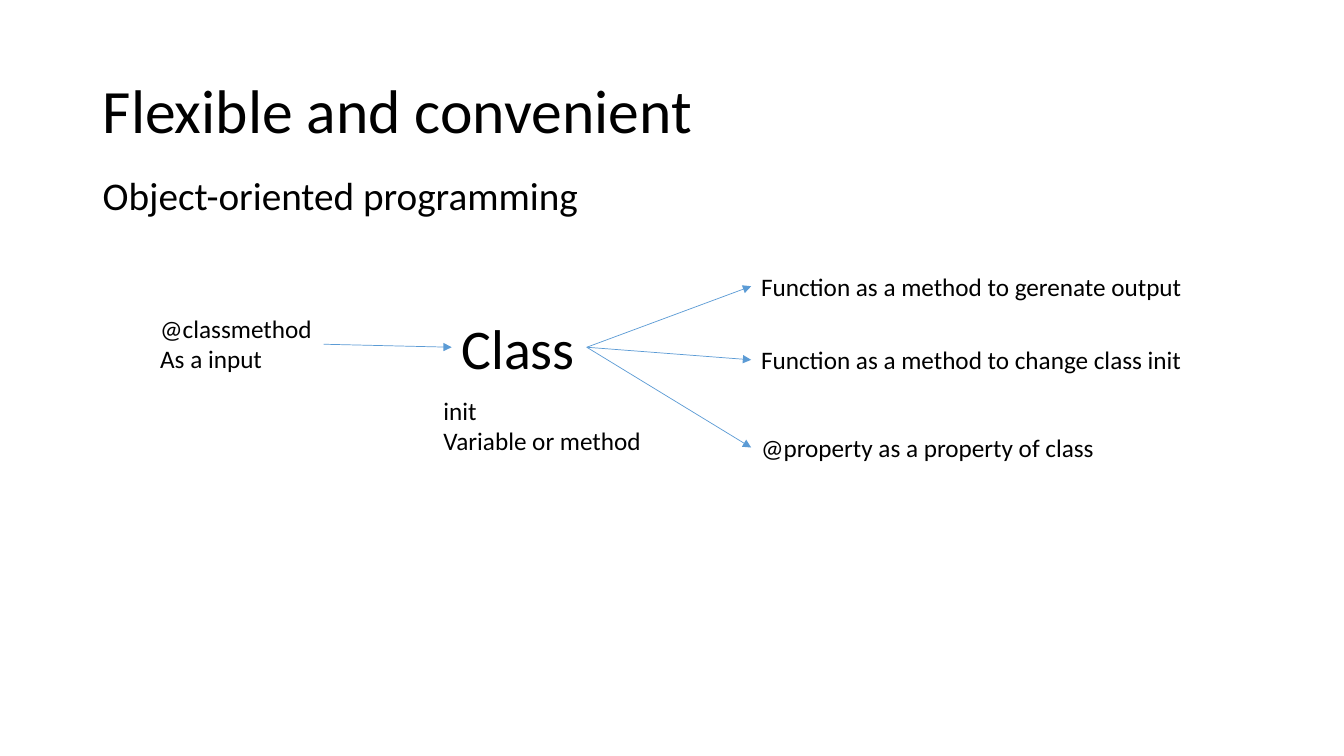
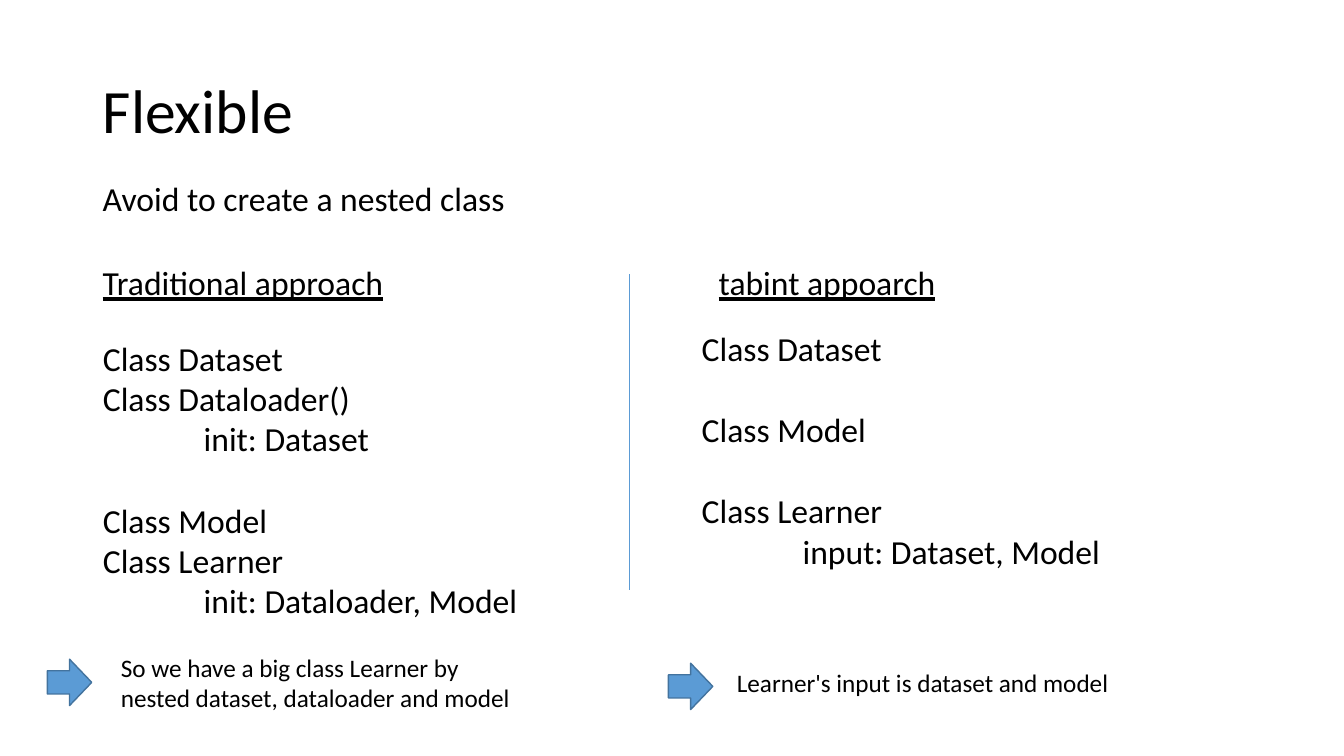
from dataclasses import dataclass

from lxml import etree
from pptx import Presentation
from pptx.dml.color import RGBColor
from pptx.enum.shapes import MSO_CONNECTOR, MSO_SHAPE
from pptx.enum.text import MSO_ANCHOR, MSO_AUTO_SIZE, PP_ALIGN
from pptx.oxml.ns import qn
from pptx.shapes.autoshape import Shape
from pptx.shapes.connector import Connector
from pptx.slide import Slide
from pptx.util import Inches, Pt

STRAIGHT = MSO_CONNECTOR.STRAIGHT
RIGHT_ARROW = MSO_SHAPE.RIGHT_ARROW
TOP, MIDDLE = MSO_ANCHOR.TOP, MSO_ANCHOR.MIDDLE
FIT_SHAPE, NO_FIT = MSO_AUTO_SIZE.SHAPE_TO_FIT_TEXT, MSO_AUTO_SIZE.NONE
LEFT = PP_ALIGN.LEFT
LEFT_SIDE, RIGHT_SIDE = 1, 3
TWO_CONTENT, TITLE_ONLY = 3, 5

FONT = "Calibri"
BLACK, BLUE, DARK_BLUE = "000000", "5B9BD5", "43739E"
MARGIN = 0.92
CODE_GAP = 29.3  # one line of 24 pt text


@dataclass(frozen=True)
class Line:
    text: str
    indent: float = 0
    gap: float = 0


@dataclass(frozen=True)
class Label:
    left: float
    top: float
    width: float
    height: float
    lines: tuple[str, ...]
    size: int = 18
    underline: bool = False


@dataclass(frozen=True)
class CodeColumn:
    left: float
    top: float
    width: float
    height: float
    lines: tuple[Line, ...]


# Slide 1: the class, its input and its outputs
SUBTITLE = Label(MARGIN, 1.65, 4.98, 0.57, ("Object-oriented programming",), 28)
CLASS = Label(4.48, 3.06, 1.34, 0.77, ("Class",), 40)
CLASS_INPUT = Label(1.49, 3.06, 1.72, 0.71, ("@classmethod", "As a input"))
CLASS_CONTENT = Label(4.3, 3.87, 2.18, 0.71, ("init", "Variable or method"))
OUTPUTS = (
    Label(7.45, 2.64, 4.43, 0.4, ("Function as a method to gerenate output",)),
    Label(7.45, 3.37, 4.48, 0.4, ("Function as a method to change class init",)),
    Label(7.45, 4.24, 3.54, 0.4, ("@property as a property of class",)),
)

# Slide 2: two approaches side by side
HEADINGS = (
    Label(MARGIN, 1.72, 4.22, 0.5, ("Avoid to create a nested class",), 24),
    Label(MARGIN, 2.55, 3.01, 0.5, ("Traditional approach",), 24, True),
    Label(7.03, 2.55, 2.5, 0.5, ("tabint appoarch",), 24, True),
)
CODE_COLUMNS = (
    CodeColumn(MARGIN, 3.3, 4.8, 2.93, (
        Line("Class Dataset"),
        Line("Class Dataloader()"),
        Line("init: Dataset", indent=1),
        Line("Class Model", gap=CODE_GAP),
        Line("Class Learner"),
        Line("init: Dataloader, Model", indent=1),
    )),
    CodeColumn(6.86, 3.2, 4.8, 2.52, (
        Line("Class Dataset"),
        Line("Class Model", gap=CODE_GAP),
        Line("Class Learner", gap=CODE_GAP),
        Line("input: Dataset, Model", indent=1),
    )),
)
CONCLUSIONS = (
    Label(1.1, 6.42, 4.16, 0.71, ("So we have a big class Learner by",
                                  "nested dataset, dataloader and model")),
    Label(7.21, 6.57, 4.22, 0.4, ("Learner's input is dataset and model",)),
)
ARROW_CORNERS = ((0.47, 6.54), (6.63, 6.58))


def rgb(value: str) -> RGBColor:
    return RGBColor.from_string(value)


def place(shape: Shape, left: float, top: float, width: float, height: float) -> None:
    shape.left, shape.top = Inches(left), Inches(top)
    shape.width, shape.height = Inches(width), Inches(height)


def write(shape: Shape, lines: tuple[Line, ...], size: int, underline: bool = False,
          spacing: float = 1.0, **frame_format) -> None:
    """Fill a shape with formatted paragraphs, without bullets."""
    frame = shape.text_frame
    for attribute, value in frame_format.items():
        setattr(frame, attribute, value)
    font_format = {"name": FONT, "size": Pt(size), "bold": False,
                   "underline": underline or None}
    for index, line in enumerate(lines):
        paragraph = frame.paragraphs[0] if index == 0 else frame.add_paragraph()
        paragraph_format = {"alignment": LEFT, "line_spacing": spacing,
                            "space_before": Pt(line.gap), "space_after": Pt(0)}
        for attribute, value in paragraph_format.items():
            setattr(paragraph, attribute, value)
        run = paragraph.add_run()
        run.text = line.text
        for attribute, value in font_format.items():
            setattr(run.font, attribute, value)
        run.font.color.rgb = rgb(BLACK)
        properties = paragraph._p.get_or_add_pPr()
        properties.set("marL", str(Inches(line.indent)))
        properties.set("indent", "0")
        etree.SubElement(properties, qn("a:buNone"))


def add_titled_slide(deck: Presentation, layout: int, title: str) -> Slide:
    slide = deck.slides.add_slide(deck.slide_layouts[layout])
    heading = slide.shapes.title
    place(heading, MARGIN, 0.4, 11.5, 1.45)
    write(heading, (Line(title),), 44, spacing=0.9, vertical_anchor=MIDDLE,
          word_wrap=True, auto_size=NO_FIT)
    return slide


def add_label(slide: Slide, label: Label) -> Shape:
    box = slide.shapes.add_textbox(Inches(label.left), Inches(label.top),
                                   Inches(label.width), Inches(label.height))
    write(box, tuple(Line(text) for text in label.lines), label.size,
          label.underline, word_wrap=False, auto_size=FIT_SHAPE)
    return box


def add_line(slide: Slide, start: tuple[float, float] = (0, 0),
             end: tuple[float, float] = (0, 0)) -> Connector:
    line = slide.shapes.add_connector(STRAIGHT, *map(Inches, start + end))
    line.line.color.rgb = rgb(BLUE)
    line.line.width = Pt(0.5)
    etree.SubElement(line._element.spPr, qn("a:effectLst"))
    return line


def add_link(slide: Slide, source: Shape, target: Shape) -> None:
    """Draw an arrow from a box's right side to another's left side."""
    link = add_line(slide)
    link.begin_connect(source, RIGHT_SIDE)
    link.end_connect(target, LEFT_SIDE)
    etree.SubElement(link.line._get_or_add_ln(), qn("a:tailEnd"), type="triangle")


def add_block_arrow(slide: Slide, left: float, top: float) -> None:
    arrow = slide.shapes.add_shape(RIGHT_ARROW, Inches(left), Inches(top),
                                   Inches(0.44), Inches(0.46))
    arrow.shadow.inherit = False
    arrow.fill.solid()
    arrow.fill.fore_color.rgb = rgb(BLUE)
    arrow.line.color.rgb = rgb(DARK_BLUE)
    arrow.line.width = Pt(1)


def build_class_slide(deck: Presentation) -> None:
    slide = add_titled_slide(deck, TITLE_ONLY, "Flexible and convenient")
    add_label(slide, SUBTITLE)
    class_box = add_label(slide, CLASS)
    input_box = add_label(slide, CLASS_INPUT)
    add_label(slide, CLASS_CONTENT)
    add_link(slide, input_box, class_box)
    for output in OUTPUTS:
        add_link(slide, class_box, add_label(slide, output))


def build_comparison_slide(deck: Presentation) -> None:
    slide = add_titled_slide(deck, TWO_CONTENT, "Flexible")
    for label in HEADINGS + CONCLUSIONS:
        add_label(slide, label)
    # Class listings in the two body placeholders
    for index, column in enumerate(CODE_COLUMNS, start=1):
        body = slide.placeholders[index]
        place(body, column.left, column.top, column.width, column.height)
        write(body, column.lines, 24, vertical_anchor=TOP, word_wrap=True,
              auto_size=NO_FIT)
    for left, top in ARROW_CORNERS:
        add_block_arrow(slide, left, top)
    # Divider between the approaches
    add_line(slide, (6.24, 2.72), (6.24, 5.85))


def main() -> None:
    deck = Presentation()
    deck.slide_width, deck.slide_height = Inches(13.33), Inches(7.5)
    build_class_slide(deck)
    build_comparison_slide(deck)
    deck.save("out.pptx")


if __name__ == "__main__":
    main()
